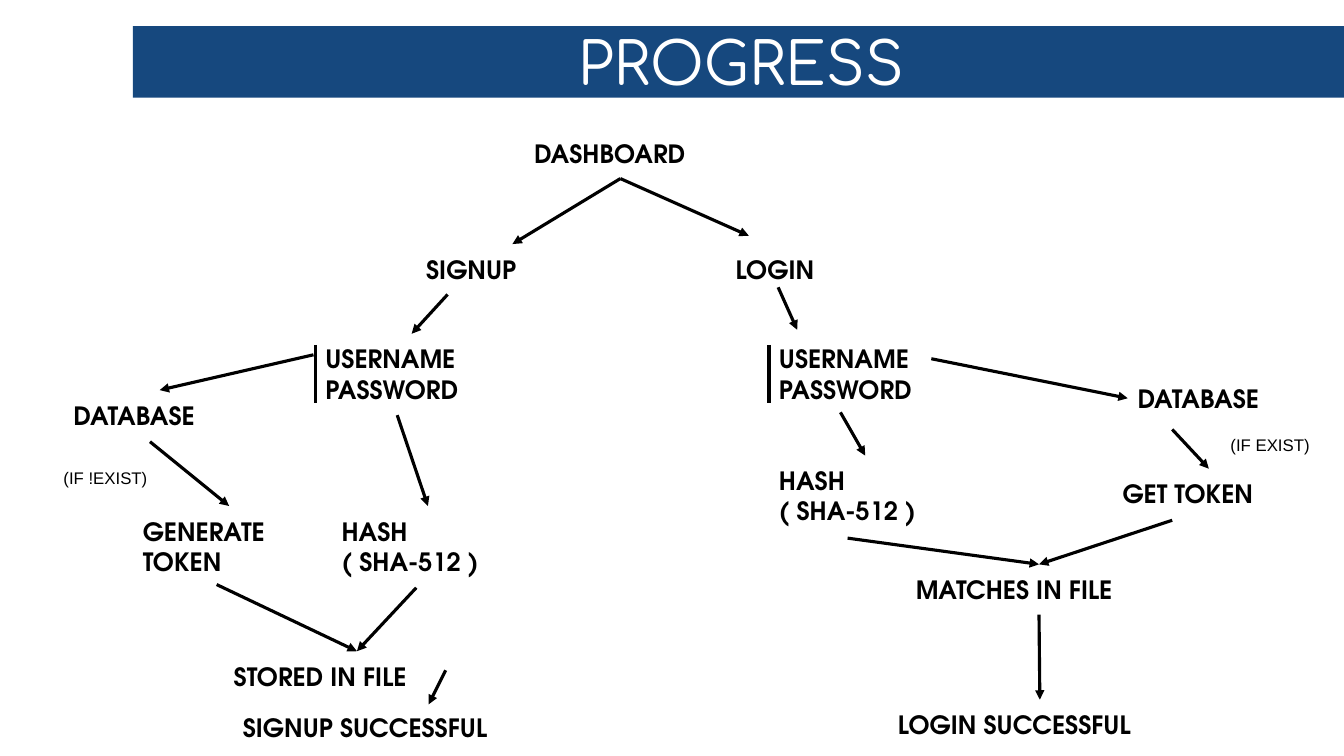
from dataclasses import dataclass
from typing import NamedTuple

from lxml.etree import SubElement
from pptx import Presentation
from pptx.dml.color import RGBColor
from pptx.enum.shapes import MSO_CONNECTOR as Connector
from pptx.enum.text import MSO_ANCHOR as Anchor, MSO_AUTO_SIZE as AutoSize, PP_ALIGN as Align
from pptx.oxml.ns import qn
from pptx.util import Cm, Pt

TOP, LEFT, BOTTOM = 0, 1, 2


@dataclass(frozen=True)
class Theme:
    banner: RGBColor = RGBColor(0x16, 0x48, 0x7E)
    banner_text: RGBColor = RGBColor(0xFF, 0xFF, 0xFF)
    ink: RGBColor = RGBColor(0, 0, 0)
    title_font: str = "Comfortaa"
    step_font: str = "TeX Gyre Adventor"
    note_font: str = "Arial"
    title_size: int = 42
    step_size: int = 18
    note_size: int = 12
    line_width: float = 2.25


class Joint(NamedTuple):
    """The middle of one side of a box."""
    box: object
    side: int


def write(frame, text, *, font, size, color, bold=False, align=Align.LEFT,
          anchor=Anchor.TOP, inset=(0.25, 0.25)):
    frame.word_wrap = True
    frame.auto_size = AutoSize.NONE
    frame.vertical_anchor = anchor
    frame.margin_left = frame.margin_right = Cm(inset[0])
    frame.margin_top = frame.margin_bottom = Cm(inset[1])
    frame.text = text
    for paragraph in frame.paragraphs:
        paragraph.alignment = align
        paragraph.font.name = font
        paragraph.font.size = Pt(size)
        paragraph.font.bold = bold
        paragraph.font.color.rgb = color


class FlowSlide:
    def __init__(self, deck, theme):
        self.theme = theme
        self.slide = deck.slides.add_slide(deck.slide_layouts[5])

    def title(self, text, x, y, width, height):
        banner = self.slide.shapes.title
        banner.left, banner.top = Cm(x), Cm(y)
        banner.width, banner.height = Cm(width), Cm(height)
        banner.fill.solid()
        banner.fill.fore_color.rgb = self.theme.banner
        write(banner.text_frame, text, font=self.theme.title_font,
              size=self.theme.title_size, color=self.theme.banner_text,
              align=Align.CENTER, anchor=Anchor.MIDDLE, inset=(0.1, 0))

    def step(self, text, x, y, width=4.85):
        box = self.slide.shapes.add_textbox(Cm(x), Cm(y), Cm(width), Cm(1.27))
        write(box.text_frame, text, font=self.theme.step_font,
              size=self.theme.step_size, color=self.theme.ink, bold=True)
        return box

    def condition(self, text, x, y):
        box = self.slide.shapes.add_textbox(Cm(x), Cm(y), Cm(2.74), Cm(0.36))
        write(box.text_frame, text, font=self.theme.note_font,
              size=self.theme.note_size, color=self.theme.ink)

    def line(self, start, end, arrow=False):
        """Draw a line between two ends, each a Joint or a point in cm."""
        points = [(0, 0) if isinstance(tip, Joint) else tip for tip in (start, end)]
        link = self.slide.shapes.add_connector(
            Connector.STRAIGHT, *(Cm(value) for point in points for value in point))
        if isinstance(start, Joint):
            link.begin_connect(start.box, start.side)
        if isinstance(end, Joint):
            link.end_connect(end.box, end.side)
        link.line.color.rgb = self.theme.ink
        link.line.width = Pt(self.theme.line_width)
        if arrow:
            SubElement(link.line._get_or_add_ln(), qn("a:tailEnd"), type="triangle")
        SubElement(link._element.spPr, qn("a:effectLst"))


def main():
    deck = Presentation()
    deck.slide_width, deck.slide_height = Cm(33.87), Cm(19.05)
    flow = FlowSlide(deck, Theme())
    flow.title("PROGRESS", 3.35, 0.66, 30.63, 1.8)

    credentials, hashing = "USERNAME\nPASSWORD", "HASH\n( SHA-512 )"
    dashboard = flow.step("DASHBOARD", 13.21, 3.23)

    signup = flow.step("SIGNUP", 10.49, 6.15)
    signup_credentials = flow.step(credentials, 7.95, 8.41)
    signup_database = flow.step("DATABASE", 1.6, 9.83)
    generate_token = flow.step("GENERATE\nTOKEN", 3.35, 12.75)
    signup_hash = flow.step(hashing, 8.36, 12.75)
    stored = flow.step("STORED IN FILE", 5.64, 16.41, 6.71)
    flow.step("SIGNUP SUCCESSFUL", 5.87, 17.7, 7.65)
    flow.condition("(IF !EXIST)", 1.35, 11.61)

    flow.step("LOGIN", 18.29, 6.15)
    flow.step(credentials, 19.38, 8.41)
    login_database = flow.step("DATABASE", 28.42, 9.4)
    get_token = flow.step("GET TOKEN", 28.04, 11.81)
    login_hash = flow.step(hashing, 19.38, 11.48)
    matches = flow.step("MATCHES IN FILE", 22.83, 14.22, 6.71)
    login_done = flow.step("LOGIN SUCCESSFUL", 22.38, 17.63, 7.65)
    flow.condition("(IF EXIST)", 30.76, 10.77)

    for credentials_edge in (7.95, 19.38):
        flow.line((credentials_edge, 8.69), (credentials_edge, 10.16))

    signup_arrows = [
        (Joint(dashboard, BOTTOM), Joint(signup, TOP)),
        ((11.28, 7.42), Joint(signup_credentials, TOP)),
        ((7.9, 8.94), Joint(signup_database, TOP)),
        ((3.78, 11.13), Joint(generate_token, TOP)),
        ((10.01, 10.46), Joint(signup_hash, TOP)),
        ((5.46, 14.73), Joint(stored, TOP)),
        ((10.49, 14.81), Joint(stored, TOP)),
        ((11.23, 16.89), (10.8, 17.75)),
    ]
    login_arrows = [
        (Joint(dashboard, BOTTOM), (18.87, 5.94)),
        ((19.61, 7.24), (20.09, 8.31)),
        ((23.47, 9.04), Joint(login_database, LEFT)),
        ((29.54, 10.82), Joint(get_token, TOP)),
        ((21.18, 10.39), Joint(login_hash, TOP)),
        ((29.54, 13.11), Joint(matches, TOP)),
        ((21.36, 13.56), Joint(matches, TOP)),
        (Joint(matches, BOTTOM), Joint(login_done, TOP)),
    ]
    for start, end in signup_arrows + login_arrows:
        flow.line(start, end, arrow=True)

    deck.save("out.pptx")


if __name__ == "__main__":
    main()
